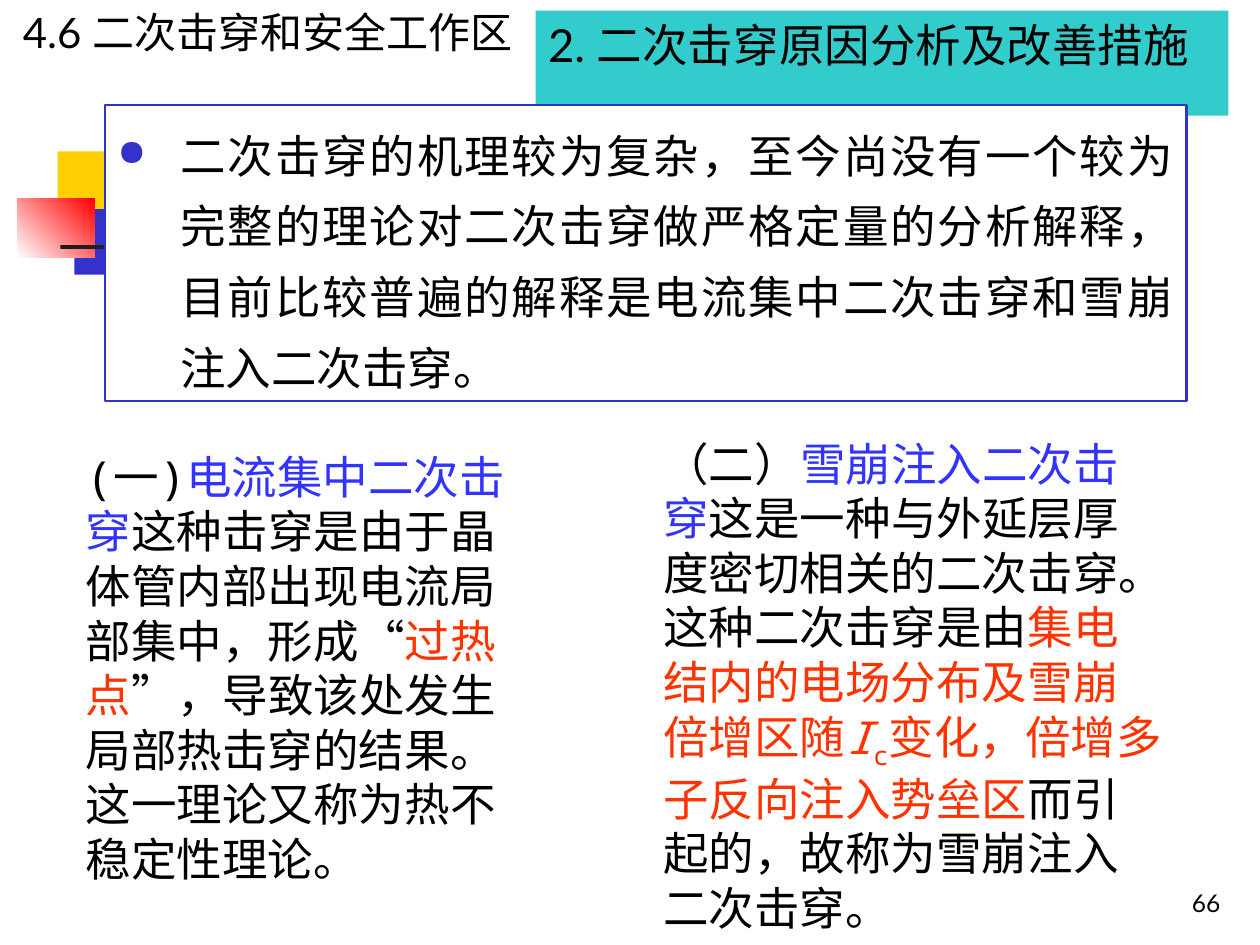
from lxml.etree import SubElement
from pptx import Presentation
from pptx.dml.color import RGBColor
from pptx.enum.shapes import MSO_SHAPE
from pptx.enum.text import MSO_ANCHOR, MSO_AUTO_SIZE, PP_ALIGN
from pptx.oxml.ns import qn
from pptx.util import Pt

BLACK = RGBColor(0x00, 0x00, 0x00)
WHITE = RGBColor(0xFF, 0xFF, 0xFF)
INK = RGBColor(0x1C, 0x1C, 0x1C)
YELLOW = RGBColor(0xFF, 0xCF, 0x01)
NAVY = RGBColor(0x33, 0x33, 0xCC)
RED = RGBColor(0xFF, 0x00, 0x00)
TEAL = RGBColor(0x33, 0xCC, 0xCC)
BLUE = RGBColor(0x33, 0x33, 0xFF)
ORANGE = RGBColor(0xFF, 0x33, 0x00)

HEADING_FONT = "Lato"
BODY_FONT = "Noto Sans Mono"
QUOTE_FONT = "Times New Roman"

# Runs are (text, format values); BODY gives the defaults.
BODY = {"name": BODY_FONT, "size": Pt(26), "color": BLACK}
HEADING = {"name": HEADING_FONT}
TERM = {"color": BLUE}
KEY = {"color": ORANGE}
QUOTE = {"name": QUOTE_FONT}

SECTION = [("4.6 二次击穿和安全工作区", HEADING | {"size": Pt(24)})]
TITLE = [("2. 二次击穿原因分析及改善措施", HEADING)]
PAGE_NUMBER = [("66", HEADING | {"size": Pt(14)})]
SUMMARY = [(
    "二次击穿的机理较为复杂，至今尚没有一个较为完整的理论对二次击穿做严格定量的分析解释，"
    "目前比较普遍的解释是电流集中二次击穿和雪崩注入二次击穿。", {})]
CURRENT_CROWDING = [
    ("(一)", {}),
    ("电流集中二次击穿", TERM),
    ("这种击穿是由于晶体管内部出现电流局部集中，形成", {}),
    ("“", QUOTE),
    ("过热点", KEY),
    ("”", QUOTE),
    ("，导致该处发生局部热击穿的结果。这一理论又称为热不稳定性理论。", {}),
]
AVALANCHE_INJECTION = [
    ("（二）", {}),
    ("雪崩注入二次击穿", TERM),
    ("这是一种与外延层厚度密切相关的二次击穿。这种二次击穿是由", {}),
    ("集电结内的电场分布及雪崩倍增区随", KEY),
    ("I", KEY | {"italic": True}),
    ("c", KEY | {"baseline": -25}),
    ("变化，倍增多子反向注入势垒区", KEY),
    ("而引起的，故称为雪崩注入二次击穿。", {}),
]

# Left, top, width, height in points; fill is a colour or (start, end, angle).
ORNAMENTS = [
    ((33, 86.5, 34.5, 37.5), YELLOW),
    ((42.5, 119.5, 33, 37.5), NAVY),
    ((10, 113.5, 44, 33.5), (WHITE, RED, 45)),
    ((34.5, 140.3, 648, 2.2), (INK, WHITE, 0)),
]
SECTION_BOX = (6, 0, 330, 36)
TITLE_BOX = (306, 6, 396, 38.75)
SUMMARY_BOX = (60, 60, 618, 169)
PAGE_NUMBER_BOX = (554.5, 492, 150, 36)
COLUMNS = [
    ((42, 253, 264, 257), CURRENT_CROWDING),
    ((372, 245.5, 300, 292), AVALANCHE_INJECTION),
]


def points(box):
    return [Pt(value) for value in box]


def add_rectangle(slide, box, fill):
    shape = slide.shapes.add_shape(MSO_SHAPE.RECTANGLE, *points(box))
    shape.shadow.inherit = False
    shape.line.fill.background()
    if isinstance(fill, RGBColor):
        shape.fill.solid()
        shape.fill.fore_color.rgb = fill
    else:
        *colors, angle = fill
        shape.fill.gradient()
        shape.fill.gradient_angle = angle
        for stop, color in zip(shape.fill.gradient_stops, colors):
            stop.color.rgb = color
    return shape


def write(shape, runs, anchor=MSO_ANCHOR.TOP, grow=True, **paragraph_format):
    """Fill a shape with one paragraph of formatted runs."""
    frame = shape.text_frame
    frame.word_wrap = True
    frame.vertical_anchor = anchor
    frame.auto_size = MSO_AUTO_SIZE.SHAPE_TO_FIT_TEXT if grow else MSO_AUTO_SIZE.NONE
    paragraph = frame.paragraphs[0]
    for name, value in ({"alignment": PP_ALIGN.LEFT} | paragraph_format).items():
        setattr(paragraph, name, value)
    for text, changes in runs:
        run = paragraph.add_run()
        run.text = text
        for name, value in (BODY | changes).items():
            if name == "color":
                run.font.color.rgb = value
            elif name == "baseline":
                run._r.get_or_add_rPr().set("baseline", str(value * 1000))
            else:
                setattr(run.font, name, value)
    return paragraph


def add_bullet(paragraph, character, color, percent, indent):
    properties = paragraph._p.get_or_add_pPr()
    properties.set("marL", str(indent))
    properties.set("indent", str(-indent))
    bullet_color = SubElement(properties, qn("a:buClr"))
    SubElement(bullet_color, qn("a:srgbClr"), val=str(color))
    SubElement(properties, qn("a:buSzPct"), val=str(percent * 1000))
    SubElement(properties, qn("a:buChar"), char=character)


def main():
    presentation = Presentation()
    presentation.slide_width, presentation.slide_height = Pt(720), Pt(540)
    slide = presentation.slides.add_slide(presentation.slide_layouts[5])

    title = slide.shapes.title
    title.left, title.top, title.width, title.height = points(TITLE_BOX)
    title.fill.solid()
    title.fill.fore_color.rgb = TEAL
    write(title, TITLE, space_before=Pt(16.2))

    for box, fill in ORNAMENTS:
        add_rectangle(slide, box, fill)

    page_number = slide.shapes.add_textbox(*points(PAGE_NUMBER_BOX))
    write(page_number, PAGE_NUMBER, MSO_ANCHOR.BOTTOM, grow=False,
          alignment=PP_ALIGN.RIGHT)

    section = slide.shapes.add_textbox(*points(SECTION_BOX))
    write(section, SECTION, space_before=Pt(15))

    summary = add_rectangle(slide, SUMMARY_BOX, WHITE)
    summary.line.color.rgb = NAVY
    summary.line.width = Pt(1.25)
    paragraph = write(summary, SUMMARY, alignment=PP_ALIGN.JUSTIFY,
                      line_spacing=1.3, space_before=Pt(6.5))
    add_bullet(paragraph, "●", NAVY, 80, Pt(36))

    for box, runs in COLUMNS:
        write(slide.shapes.add_textbox(*points(box)), runs)

    presentation.save("out.pptx")


if __name__ == "__main__":
    main()
